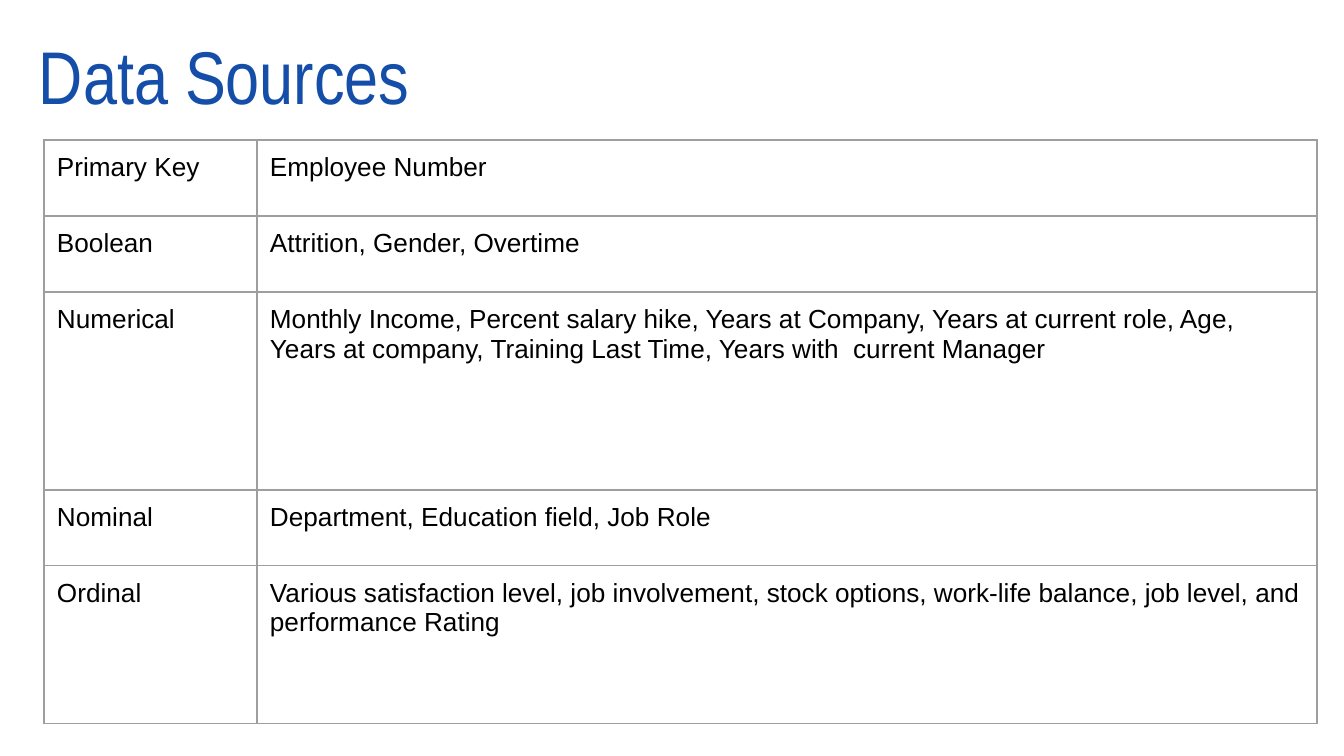
import pptx
import pptx.dml.color
import pptx.enum.text
import pptx.oxml
import pptx.oxml.ns
import pptx.util

EMU_PER_PX = 914400 / 134.4
INSET = 13
BORDER_SIDES = ("L", "R", "T", "B")

ROWS = [
    ("Primary Key", "Employee Number", 76),
    ("Boolean", "Attrition, Gender, Overtime", 76),
    ("Numerical", "Monthly Income, Percent salary hike, Years at Company, "
     "Years at current role, Age, Years at company, Training Last Time, "
     "Years with  current Manager", 198),
    ("Nominal", "Department, Education field, Job Role", 76),
    ("Ordinal", "Various satisfaction level, job involvement, stock options, "
     "work-life balance, job level, and performance Rating", 158),
]


def px(n):
    return pptx.util.Emu(round(n * EMU_PER_PX))


def color(value):
    return pptx.dml.color.RGBColor.from_string(value)


def write(tf, text, *, font="Arial", size=14, fill="000000"):
    p = tf.paragraphs[0]
    r = p.add_run()
    r.text = text
    r.font.name = font
    r.font.size = pptx.util.Pt(size)
    r.font.color.rgb = color(fill)


def set_insets(target):
    """Give a cell or text frame the same margin on every side."""
    for side in ("left", "right", "top", "bottom"):
        setattr(target, f"margin_{side}", px(INSET))


class Deck:
    title_color = "144EA9"
    border_color = "9E9E9E"
    border_width = 0.75
    background = "FFFFFF"

    def __init__(self, width, height):
        self.prs = pptx.Presentation()
        self.prs.slide_width, self.prs.slide_height = px(width), px(height)
        self.s = self.prs.slides.add_slide(self.prs.slide_layouts[6])
        bg = self.s.background.fill
        bg.solid()
        bg.fore_color.rgb = color(self.background)

    def title(self, text, x, y, w, h):
        sp = self.s.shapes.add_textbox(px(x), px(y), px(w), px(h))
        tf = sp.text_frame
        tf.word_wrap = True
        tf.vertical_anchor = pptx.enum.text.MSO_ANCHOR.BOTTOM
        set_insets(tf)
        write(tf, text, font="Arial Narrow", size=40, fill=self.title_color)

    def border(self, cell):
        tc_pr = cell._tc.get_or_add_tcPr()
        width = pptx.util.Pt(self.border_width)
        for i, side in enumerate(BORDER_SIDES):
            tc_pr.insert(i, pptx.oxml.parse_xml(
                f'<a:ln{side} {pptx.oxml.ns.nsdecls("a")} w="{width}">'
                f'<a:solidFill><a:srgbClr val="{self.border_color}"/></a:solidFill>'
                f'</a:ln{side}>'))

    def table(self, rows, col_widths, x, y):
        height = sum(row[-1] for row in rows)
        frame = self.s.shapes.add_table(len(rows), len(col_widths), px(x), px(y),
                                        px(sum(col_widths)), px(height))
        table = frame.table
        table.first_row = table.horz_banding = False
        for col, width in zip(table.columns, col_widths):
            col.width = px(width)
        for row, (*texts, row_height) in zip(table.rows, rows):
            row.height = px(row_height)
            for cell, text in zip(row.cells, texts):
                set_insets(cell)
                cell.fill.background()
                self.border(cell)
                write(cell.text_frame, text)


def main():
    deck = Deck(1344, 756)
    deck.table(ROWS, (213, 1060), 44, 140)
    deck.title("Data Sources", 26, 15, 870, 118)
    deck.prs.save("out.pptx")


if __name__ == "__main__":
    main()
